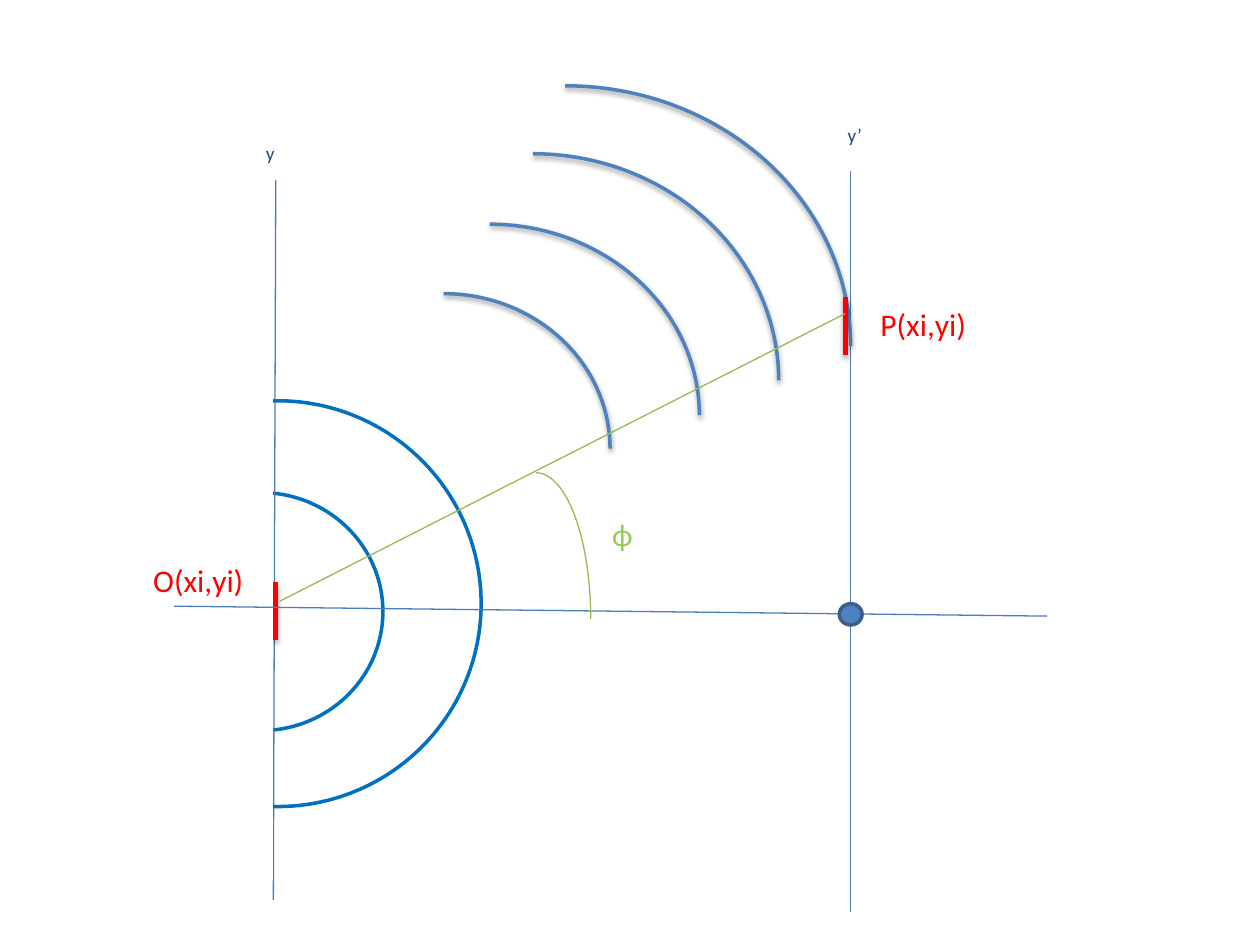
from lxml import etree
from pptx import Presentation
from pptx.dml.color import RGBColor
from pptx.enum.shapes import MSO_CONNECTOR, MSO_SHAPE
from pptx.enum.text import MSO_AUTO_SIZE
from pptx.oxml.ns import qn
from pptx.util import Cm, Pt

OVAL, ARC, RECT = MSO_SHAPE.OVAL, MSO_SHAPE.ARC, MSO_SHAPE.RECTANGLE
STRAIGHT = MSO_CONNECTOR.STRAIGHT
GROW = MSO_AUTO_SIZE.SHAPE_TO_FIT_TEXT
HUES = {
    "wave": "0070C0", "axis": "4B7EBC", "front": "4F81BD", "rim": "3A5F8C",
    "red": "FF0000", "ray": "98B955", "phi": "92D050", "navy": "1F497D",
    "white": "FFFFFF",
}
COLOR = {name: RGBColor.from_string(hue) for name, hue in HUES.items()}

deck = Presentation()
deck.slide_width, deck.slide_height = Cm(25.4), Cm(19.05)
slide = deck.slides.add_slide(deck.slide_layouts[6])
shapes = slide.shapes


def style(item, hue, width, shade):
    item.line.color.rgb = COLOR[hue]
    item.line.width = Pt(width)
    effects = etree.SubElement(item._element.spPr, qn("a:effectLst"))
    if shade:
        drop, alpha = shade
        shadow = etree.SubElement(
            effects, qn("a:outerShdw"), blurRad="40000", dist=str(drop),
            dir="5400000", rotWithShape="0")
        black = etree.SubElement(shadow, qn("a:srgbClr"), val="000000")
        etree.SubElement(black, qn("a:alpha"), val=str(alpha))


def draw(kind, box, hue, width, fill=None, shade=None):
    if kind is STRAIGHT:
        item = shapes.add_connector(kind, *map(Cm, box))
    else:
        item = shapes.add_shape(kind, *map(Cm, box))
        if fill:
            item.fill.solid()
            item.fill.fore_color.rgb = COLOR[fill]
        else:
            item.fill.background()
    style(item, hue, width, shade)


SOFT, DEEP = (20000, 38000), (23000, 35000)

draw(OVAL, (2.79, 9.93, 4.93, 4.8), "wave", 2)
for axis in [(5.56, 3.63, 5.51, 18.14), (17.14, 3.45, 17.14, 18.39)]:
    draw(STRAIGHT, axis, "axis", 0.75)
draw(STRAIGHT, (5.56, 11.73, 5.56, 12.9), "red", 3, shade=DEEP)

fronts = [
    (5.64, 1.73, 11.51, 10.49),
    (5.79, 3.1, 9.91, 9.14),
    (5.64, 4.52, 8.46, 7.7),
    (5.59, 5.92, 6.71, 6.25),
]
for front in fronts:
    draw(ARC, front, "front", 2, shade=SOFT)

draw(OVAL, (1.5, 8.08, 8.2, 8.18), "wave", 2)
draw(RECT, (0.86, 5.33, 4.6, 12.4), "white", 2, "white")
draw(STRAIGHT, (21.11, 12.42, 3.51, 12.22), "axis", 0.75)
draw(STRAIGHT, (17.04, 5.99, 17.04, 7.16), "red", 3, shade=DEEP)

labels = [
    ("y’", (16.84, 2.36, 1.37, 0.74), 11, "navy"),
    ("y", (5.11, 2.72, 1.37, 0.74), 11, "navy"),
    ("P(xi,yi)", (17.5, 6.02, 3.2, 1.02), 18, "red"),
    ("O(xi,yi)", (2.84, 11.18, 3.2, 1.02), 18, "red"),
    ("ϕ", (12.09, 10.26, 1.19, 1.02), 18, "phi"),
]
for text, box, size, hue in labels:
    frame = shapes.add_textbox(*map(Cm, box)).text_frame
    for key, value in {"word_wrap": True, "auto_size": GROW}.items():
        setattr(frame, key, value)
    run = frame.paragraphs[0].add_run()
    run.text = text
    for key, value in {"name": "Calibri", "size": Pt(size)}.items():
        setattr(run.font, key, value)
    run.font.color.rgb = COLOR[hue]

draw(ARC, (9.7, 9.53, 2.21, 5.89), "ray", 0.75)
draw(STRAIGHT, (5.64, 12.12, 17.04, 6.32), "ray", 0.75)
draw(OVAL, (16.92, 12.17, 0.46, 0.43), "rim", 2, "front")

deck.save("out.pptx")
